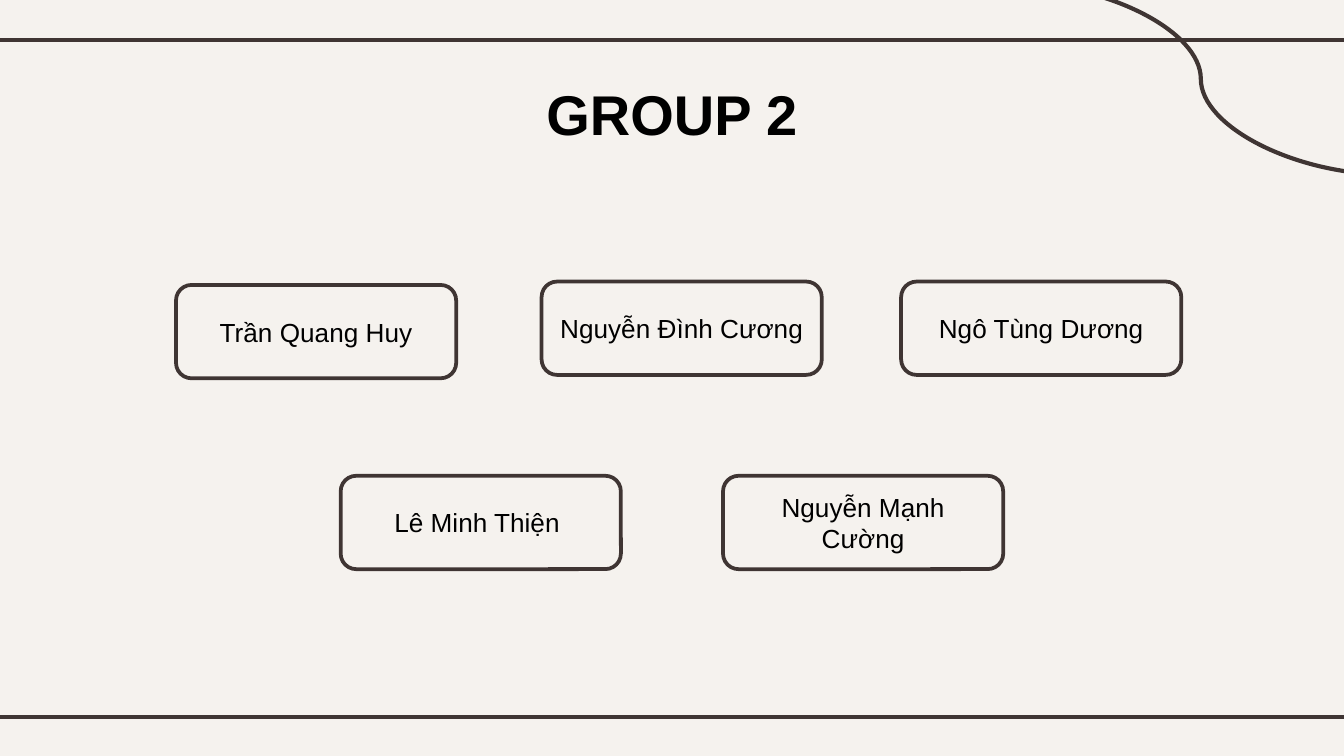
from dataclasses import dataclass

from pptx import Presentation
from pptx.dml.color import RGBColor
from pptx.enum.shapes import MSO_CONNECTOR as Connector, MSO_SHAPE as Shape
from pptx.enum.text import MSO_ANCHOR as Anchor, MSO_AUTO_SIZE as AutoSize, PP_ALIGN as Align
from pptx.oxml.ns import qn
from pptx.slide import Slide
from pptx.text.text import TextFrame
from pptx.util import Emu, Pt

EMU_PER_PX = 4572  # 200 px to the inch
SLIDE_WIDTH, SLIDE_HEIGHT = 2000, 1125
CARD_WIDTH, CARD_HEIGHT = 417, 139


@dataclass(frozen=True)
class Theme:
    paper: RGBColor = RGBColor.from_string("F5F2EE")
    ink: RGBColor = RGBColor.from_string("3F3533")
    text: RGBColor = RGBColor.from_string("000000")
    font: str = "Arial"
    title_size: int = 30
    name_size: int = 14
    rule_width: float = 2.25
    border_width: float = 2


@dataclass(frozen=True)
class Member:
    name: str
    left: int
    top: int


@dataclass(frozen=True)
class Stroke:
    kind: Connector
    start: tuple[int, int]
    end: tuple[int, int]


THEME = Theme()
MEMBERS = (
    Member("Trần Quang Huy", 262, 424),
    Member("Nguyễn Đình Cương", 806, 419),
    Member("Ngô Tùng Dương", 1341, 419),
    Member("Lê Minh Thiện ", 507, 708),
    Member("Nguyễn Mạnh Cường", 1076, 708),
)
STROKES = (
    *(Stroke(Connector.STRAIGHT, (-16, y), (2016, y)) for y in (60, 1067)),
    Stroke(Connector.CURVE, (1506, -25), (2068, 260)),
)


def px(length: int) -> Emu:
    return Emu(length * EMU_PER_PX)


def apply(target: object, **values: object) -> None:
    """Set each named attribute on the target."""
    for attribute, value in values.items():
        setattr(target, attribute, value)


def write_centred(frame: TextFrame, words: str, size: int, bold: bool) -> None:
    frame.text = words
    paragraph = frame.paragraphs[0]
    paragraph.alignment = Align.CENTER
    font = paragraph.runs[0].font
    apply(font, name=THEME.font, size=Pt(size), bold=bold)
    font.color.rgb = THEME.text


def draw_stroke(slide: Slide, stroke: Stroke) -> None:
    ends = map(px, (*stroke.start, *stroke.end))
    connector = slide.shapes.add_connector(stroke.kind, *ends)
    connector.line.color.rgb = THEME.ink
    connector.line.width = Pt(THEME.rule_width)
    properties = connector._element.spPr
    properties.append(properties.makeelement(qn("a:effectLst"), {}))


def write_title(slide: Slide, words: str) -> None:
    title = slide.shapes.title
    apply(title, left=px(156), top=px(98), width=px(1688), height=px(126))
    frame = title.text_frame
    apply(frame, auto_size=AutoSize.NONE, word_wrap=True, vertical_anchor=Anchor.TOP,
          margin_left=px(20), margin_right=px(20), margin_top=px(20), margin_bottom=px(20))
    write_centred(frame, words, THEME.title_size, True)


def draw_member(slide: Slide, member: Member) -> None:
    card = slide.shapes.add_shape(
        Shape.ROUNDED_RECTANGLE,
        *map(px, (member.left, member.top, CARD_WIDTH, CARD_HEIGHT)),
    )
    card.shadow.inherit = False
    card.fill.solid()
    card.fill.fore_color.rgb = THEME.paper
    card.line.color.rgb = THEME.ink
    card.line.width = Pt(THEME.border_width)
    frame = card.text_frame
    apply(frame, word_wrap=True, vertical_anchor=Anchor.MIDDLE,
          margin_left=px(18), margin_right=px(18))
    write_centred(frame, member.name, THEME.name_size, False)


def main() -> None:
    deck = Presentation()
    apply(deck, slide_width=px(SLIDE_WIDTH), slide_height=px(SLIDE_HEIGHT))
    title_only = deck.slide_layouts[5]
    slide = deck.slides.add_slide(title_only)
    slide.background.fill.solid()
    slide.background.fill.fore_color.rgb = THEME.paper

    for stroke in STROKES:
        draw_stroke(slide, stroke)
    write_title(slide, "GROUP 2")
    for member in MEMBERS:
        draw_member(slide, member)
    deck.save("out.pptx")


if __name__ == "__main__":
    main()
